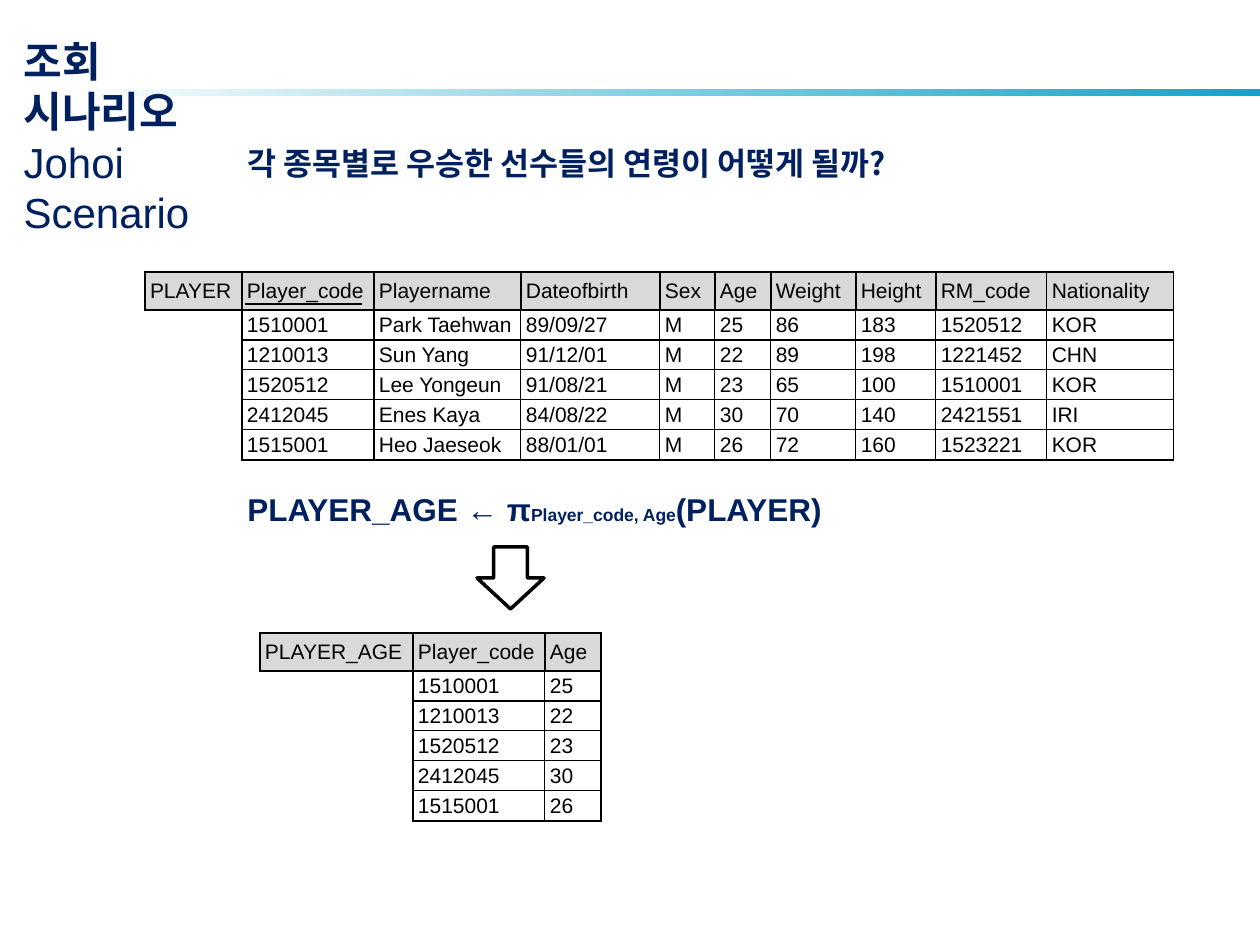
import copy

import pptx
import pptx.dml.color
import pptx.enum.shapes
import pptx.enum.text
import pptx.oxml
import pptx.oxml.ns
import pptx.util

SCALE = 914400 / 126
COLORS = {"navy": "002060", "black": "000000", "grey": "D9D9D9",
          "white": "FFFFFF", "sky": "7FCFE2", "blue": "1AA0C7"}
LATIN, KOREAN = "Arial", "Noto Sans CJK KR"
PLAIN_STYLE = "{2D5ABB26-0587-4C30-8999-92F81FD0307C}"
HEAD_ROW, DATA_ROW = 38, 30

PLAYERS = [
    ["PLAYER", "Player_code", "Playername", "Dateofbirth", "Sex", "Age",
     "Weight", "Height", "RM_code", "Nationality"],
    ["", "1510001", "Park Taehwan", "89/09/27", "M", "25", "86", "183", "1520512", "KOR"],
    ["", "1210013", "Sun Yang", "91/12/01", "M", "22", "89", "198", "1221452", "CHN"],
    ["", "1520512", "Lee Yongeun", "91/08/21", "M", "23", "65", "100", "1510001", "KOR"],
    ["", "2412045", "Enes Kaya", "84/08/22", "M", "30", "70", "140", "2421551", "IRI"],
    ["", "1515001", "Heo Jaeseok", "88/01/01", "M", "26", "72", "160", "1523221", "KOR"],
]
AGES = [["PLAYER_AGE", "Player_code", "Age"]] + [["", row[1], row[5]] for row in PLAYERS[1:]]


def px(*vals):
    return [pptx.util.Emu(round(val * SCALE)) for val in vals]


def color(name):
    return pptx.dml.color.RGBColor.from_string(COLORS[name])


def style(run, size, face=LATIN, bold=False, tint="navy"):
    font = run.font
    font.size, font.bold, font.name = pptx.util.Pt(size), bold, face
    font.color.rgb = color(tint)
    if face == KOREAN:
        east = pptx.oxml.parse_xml(
            f'<a:ea {pptx.oxml.ns.nsdecls("a")} typeface="{face}"/>')
        run.font._element.find(pptx.oxml.ns.qn("a:latin")).addnext(east)


def add_title(slide):
    title = slide.shapes.title
    title.left, title.top, title.width, title.height = px(11, 29, 262, 165)
    frame = title.text_frame
    frame.text = "조회 시나리오\nJohoi\nScenario"
    frame.word_wrap = True
    frame.auto_size = pptx.enum.text.MSO_AUTO_SIZE.NONE
    frame.vertical_anchor = pptx.enum.text.MSO_ANCHOR.TOP
    for num, para in enumerate(frame.paragraphs):
        para.alignment = pptx.enum.text.PP_ALIGN.LEFT
        style(para.runs[0], 24, LATIN if num else KOREAN, num == 0)


def add_text(slide, box, parts, face):
    """Add one bold line made of (text, size) parts."""
    frame = slide.shapes.add_textbox(*px(*box)).text_frame
    frame.word_wrap = True
    for text, size in parts:
        run = frame.paragraphs[0].add_run()
        run.text = text
        style(run, size, face, True)


def add_bar(slide):
    """Add the fading rule and send it behind the title."""
    bar = slide.shapes.add_shape(
        pptx.enum.shapes.MSO_SHAPE.RECTANGLE, *px(69, 89, 1191, 7))
    bar.shadow.inherit = False
    bar.line.fill.background()
    bar.fill.gradient()
    bar.fill.gradient_angle = 0
    first = bar.fill.gradient_stops[0]._gs
    first.addnext(copy.deepcopy(first))
    tints = [(0, "white"), (0.5, "sky"), (1, "blue")]
    for stop, (place, tint) in zip(bar.fill.gradient_stops, tints):
        stop.position = place
        stop.color.rgb = color(tint)
    slide.shapes._spTree.insert(2, bar._element)


def add_edge(cell, side, width):
    edge = pptx.oxml.parse_xml(
        f'<a:ln{side} {pptx.oxml.ns.nsdecls("a")} w="{pptx.util.Pt(width)}">'
        f'<a:solidFill><a:srgbClr val="{COLORS["black"]}"/></a:solidFill></a:ln{side}>')
    cell._tc.get_or_add_tcPr().append(edge)


def fill_cell(cell, text, head, edges):
    for side, width in edges.items():
        add_edge(cell, side, width)
    cell.margin_left = cell.margin_right = pptx.util.Inches(0.04)
    cell.margin_top = cell.margin_bottom = 0
    cell.vertical_anchor = pptx.enum.text.MSO_ANCHOR.MIDDLE
    cell.fill.solid()
    cell.fill.fore_color.rgb = color("grey" if head else "white")
    cell.text_frame.text = text
    style(cell.text_frame.paragraphs[0].runs[0], 12, tint="black")


def add_table(slide, left, top, widths, rows):
    """Add a relation: its name in the corner, a grey head and framed data."""
    height = HEAD_ROW + DATA_ROW * (len(rows) - 1)
    frame = slide.shapes.add_table(
        len(rows), len(widths), *px(left, top, sum(widths), height))
    table = frame.table
    table.first_row = table.horz_banding = False
    table._tbl.tblPr.find(pptx.oxml.ns.qn("a:tableStyleId")).text = PLAIN_STYLE
    for col, width in zip(table.columns, px(*widths)):
        col.width = width
    for y, row in enumerate(rows):
        table.rows[y].height = px(DATA_ROW if y else HEAD_ROW)[0]
        for x, text in enumerate(row):
            cell = table.cell(y, x)
            if not text:
                cell.text_frame.paragraphs[0].font.size = pptx.util.Pt(12)
                cell.margin_top = cell.margin_bottom = 0
                continue
            head = y == 0
            bold = {"L": head or x == 1, "R": head or x == len(row) - 1,
                    "T": y < 2, "B": head or y == len(rows) - 1}
            edges = {side: 1 if thick else 0.75 for side, thick in bold.items()}
            fill_cell(cell, text, head, edges)


def add_line(slide, start, end):
    line = slide.shapes.add_connector(
        pptx.enum.shapes.MSO_CONNECTOR.STRAIGHT, *px(*start, *end))
    line.line.color.rgb = color("black")
    line.line.width = pptx.util.Pt(0.75)
    line._element.spPr.append(
        pptx.oxml.parse_xml(f'<a:effectLst {pptx.oxml.ns.nsdecls("a")}/>'))


def add_arrow(slide, box):
    arrow = slide.shapes.add_shape(pptx.enum.shapes.MSO_SHAPE.DOWN_ARROW, *px(*box))
    arrow.shadow.inherit = False
    arrow.fill.background()
    arrow.line.color.rgb = color("black")
    arrow.line.width = pptx.util.Pt(2)


def main():
    deck = pptx.Presentation()
    deck.slide_width, deck.slide_height = px(1260, 945)
    slide = deck.slides.add_slide(deck.slide_layouts[5])
    add_title(slide)
    add_bar(slide)
    add_table(slide, 145, 272, [97, 132, 147, 139, 55, 56, 85, 80, 111, 127], PLAYERS)
    add_line(slide, (245, 304), (362, 304))
    add_text(slide, (235, 138, 654, 50),
             [("각 종목별로 우승한 선수들의 연령이 어떻게 될까?", 18)], KOREAN)
    add_text(slide, (235, 484, 606, 50),
             [("PLAYER_AGE ← π", 18), ("Player_code, Age", 10), ("(PLAYER)", 18)], LATIN)
    add_arrow(slide, (477, 547, 67, 62))
    add_table(slide, 260, 633, [153, 132, 56], AGES)
    deck.save("out.pptx")


if __name__ == "__main__":
    main()
